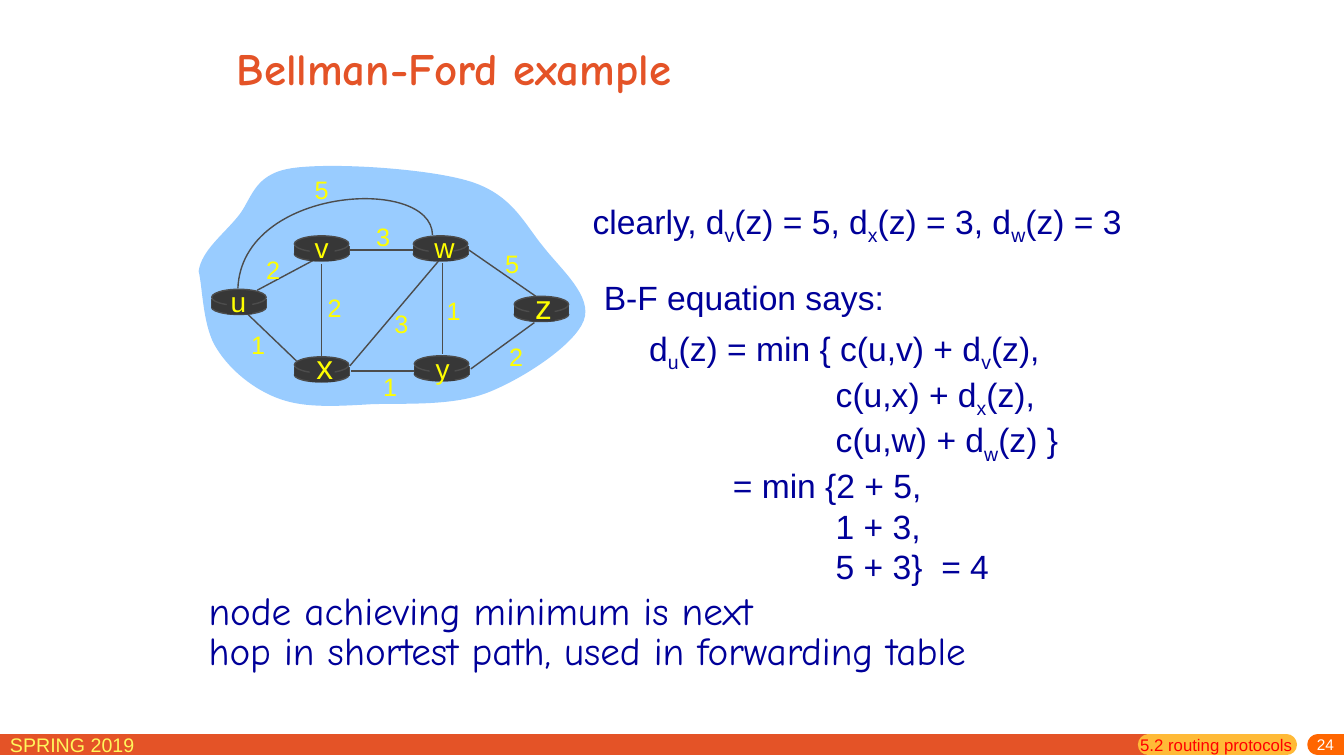
import dataclasses

import pptx
import pptx.dml.color
import pptx.enum.shapes
import pptx.enum.text
import pptx.oxml
import pptx.oxml.ns
import pptx.util

Inches = pptx.util.Inches
Pt = pptx.util.Pt
Shape = pptx.enum.shapes.MSO_SHAPE
Align = pptx.enum.text.PP_ALIGN
Anchor = pptx.enum.text.MSO_ANCHOR


@dataclasses.dataclass(frozen=True)
class Theme:
    """Colours, fonts and type sizes of the deck."""
    accent: str = "E45327"
    section: str = "FFBA37"
    page: str = "FF6600"
    term: str = "FFF65C"
    section_text: str = "FF0000"
    page_text: str = "FFFFFF"
    body: str = "000099"
    cloud: str = "99CCFF"
    router: str = "373737"
    link: str = "4C4C4C"
    label: str = "FFFF00"
    sans: str = "Arial"
    hand: str = "Comic Neue"
    title_size: int = 32
    note_size: int = 28
    body_size: int = 24
    node_size: int = 20
    weight_size: int = 18
    term_size: int = 14
    section_size: int = 12
    page_size: int = 11


THEME = Theme()
CLOUD = [
    (0, 1.08), (0.03, 0.88), (0.23, 0.73), (0.38, 0.55), (0.53, 0.38), (0.53, 0.12), (0.92, 0.06),
    (1.3, 0), (2.27, 0.06), (2.69, 0.19), (3.11, 0.32), (3.23, 0.61), (3.42, 0.84),
    (3.6, 1.07), (3.91, 1.33), (3.82, 1.57), (3.73, 1.81), (3.23, 2.14), (2.88, 2.28),
    (2.53, 2.42), (2.07, 2.39), (1.72, 2.4), (1.38, 2.42), (1.06, 2.44), (0.81, 2.35),
    (0.55, 2.26), (0.31, 2.06), (0.18, 1.85), (0.04, 1.64), (0.04, 1.24), (0, 1.08),
]
ARC = [(2.32, 0.72), (2.31, 0.13), (0.43, 0.24), (0.39, 1.25)]
LINKS = [
    ((0.58, 1.27), (1.18, 0.95)), ((1.22, 1.01), (1.22, 1.94)), ((0.97, 1.97), (0.49, 1.51)),
    ((1.5, 2.02), (2.38, 0.98)), ((2.15, 2.07), (1.51, 2.07)), ((2.42, 1), (2.42, 1.9)),
    ((2.7, 2.05), (3.33, 1.59)), ((3.36, 1.34), (2.68, 0.87)), ((1.5, 0.87), (2.14, 0.87)),
]
WEIGHTS = [
    ("2", 0.74, 1.06), ("2", 1.35, 1.44), ("1", 0.59, 1.81), ("3", 2.01, 1.6), ("1", 1.9, 2.22),
    ("1", 2.53, 1.47), ("2", 3.15, 1.93), ("5", 3.11, 1), ("3", 1.83, 0.74), ("5", 1.22, 0.27),
]
ROUTERS = [
    ("u", 0.13, 1.26, 0.39, 1.38, THEME.node_size), ("v", 0.95, 0.73, 1.22, 0.84, THEME.node_size),
    ("w", 2.13, 0.73, 2.41, 0.84, THEME.node_size), ("x", 0.95, 1.93, 1.24, 2.02, THEME.body_size),
    ("y", 2.14, 1.92, 2.42, 2.04, THEME.node_size), ("z", 3.13, 1.33, 3.41, 1.43, THEME.body_size),
]
EQUATION = [
    (0, "d|u|(z) = min { c(u,v) + d|v|(z),"), (1.85, "c(u,x) + d|x|(z),"),
    (1.85, "c(u,w) + d|w|(z) }"), (0.83, "= min {2 + 5,"), (1.85, "1 + 3,"), (1.85, "5 + 3}| |= 4"),
]


def rgb(color):
    """Return a colour object for a hex string."""
    return pptx.dml.color.RGBColor.from_string(color)


def add_text(shapes, box, lines, size, color, font=THEME.sans, bold=False, align=Align.LEFT,
             anchor=Anchor.TOP, wrap=True, spacing=None):
    """Add (indent, text) lines; parts between bars are subscripts, or a wide space."""
    shape = shapes.add_textbox(*map(Inches, box))
    frame = shape.text_frame
    frame.word_wrap = wrap
    frame.vertical_anchor = anchor
    for index, (indent, line) in enumerate(lines):
        paragraph = frame.add_paragraph() if index else frame.paragraphs[0]
        paragraph.alignment = align
        paragraph.line_spacing = spacing
        if indent:
            paragraph._p.get_or_add_pPr().set("marL", str(Inches(indent)))
        for part, text in enumerate(line.split("|")):
            run = paragraph.add_run()
            run.text = text
            run.font.size = Pt(size)
            run.font.name = font
            run.font.bold = bold
            run.font.color.rgb = rgb(color)
            if text.isspace():
                run._r.get_or_add_rPr().set("spc", "667")
            elif part % 2:
                run._r.get_or_add_rPr().set("baseline", "-25000")
    return frame


def add_line(shapes, start, end, color, width=1, cap="flat"):
    """Add a straight line without a shadow."""
    line = shapes.add_connector(pptx.enum.shapes.MSO_CONNECTOR.STRAIGHT,
                                *map(Inches, (*start, *end)))
    line.line.color.rgb = rgb(color)
    line.line.width = Pt(width)
    line.line._get_or_add_ln().set("cap", cap)
    properties = line._element.spPr
    properties.append(pptx.oxml.parse_xml(f'<a:effectLst {pptx.oxml.ns.nsdecls("a")}/>'))


def paint(shape, fill=None, line=None):
    """Set the fill and outline of a shape and remove its shadow."""
    shape.shadow.inherit = False
    if fill:
        shape.fill.solid()
        shape.fill.fore_color.rgb = rgb(fill)
    else:
        shape.fill.background()
    if line:
        shape.line.color.rgb = rgb(line)
        shape.line.width = Pt(1)
    else:
        shape.line.fill.background()


def add_curve(shapes, left, top, points, closed, fill=None, line=None):
    """Add an outline through a chain of cubic curves."""
    corners = [(Inches(left + x), Inches(top + y)) for x, y in points]
    builder = shapes.build_freeform(*corners[0])
    builder.add_line_segments(corners[1:], close=closed)
    shape = builder.convert_to_shape()
    segments = list(shape._element.iter(pptx.oxml.ns.qn("a:lnTo")))
    for first in range(0, len(points) - 1, 3):
        curve = pptx.oxml.parse_xml(f'<a:cubicBezTo {pptx.oxml.ns.nsdecls("a")}/>')
        segments[first].addprevious(curve)
        for segment in segments[first:first + 3]:
            curve.append(segment[0])
            segment.getparent().remove(segment)
    paint(shape, fill, line)


def add_label(shapes, x, y, text, size):
    """Add a label centred on a point."""
    height = size / 60 + 0.1
    add_text(shapes, (x - 0.17, y - height / 2, 0.34, height), [(0, text)], size, THEME.label,
             align=Align.CENTER, wrap=False)


def add_router(shapes, left, top):
    """Add a router drum with a plain area for its name."""
    def part(kind, x, y, width, height, line=None):
        """Add one solid part of the drum."""
        box = map(Inches, (left + x, top + y, width, height))
        paint(shapes.add_shape(kind, *box), THEME.router, line)

    part(Shape.OVAL, 0, 0.11, 0.54, 0.14, THEME.link)
    for x in (left, left + 0.54):
        add_line(shapes, (x, top + 0.1), (x, top + 0.19), THEME.link)
    part(Shape.RECTANGLE, 0, 0.1, 0.54, 0.09)
    part(Shape.OVAL, 0, 0, 0.54, 0.16, THEME.link)
    part(Shape.RECTANGLE, 0.15, 0.02, 0.25, 0.23)


def add_network(slide, left, top):
    """Draw the weighted network on its cloud."""
    shapes = slide.shapes.add_group_shape().shapes
    add_curve(shapes, left, top, CLOUD, True, fill=THEME.cloud)
    add_curve(shapes, left, top, ARC, False, line=THEME.link)
    for (x1, y1), (x2, y2) in LINKS:
        add_line(shapes, (left + x1, top + y1), (left + x2, top + y2), THEME.link)
    for name, x, y, name_x, name_y, size in ROUTERS:
        add_router(shapes, left + x, top + y)
        add_label(shapes, left + name_x, top + name_y, name, size)
    for weight, x, y in WEIGHTS:
        add_label(shapes, left + x, top + y, weight, THEME.weight_size)


def add_derivation(slide, left, top):
    """Write the known distances and the equation."""
    regions = [
        (0, 0, 5.52, 0.5, [(0, "clearly, d|v|(z) = 5, d|x|(z) = 3, d|w|(z) = 3")]),
        (0.56, 1.26, 4.31, 2.52, EQUATION),
        (0.11, 0.76, 2.98, 0.5, [(0, "B-F equation says:")]),
    ]
    for x, y, width, height, lines in regions:
        add_text(slide.shapes, (left + x, top + y, width, height), lines,
                 THEME.body_size, THEME.body)


def add_footer(slide, top, width):
    """Draw the footer band with term, section and page number."""
    shapes = slide.shapes
    middle = top + 0.17
    for start, end, color, cap in ((-0.18, 11.39, THEME.accent, "flat"),
                                   (11.39, 12.76, THEME.section, "rnd"),
                                   (13.07, 13.6, THEME.page, "rnd")):
        add_line(shapes, (start, middle), (end, middle), color, 15, cap)
    add_text(shapes, (0, top, 2.29, 0.31), [(0, "SPRING 2019")], THEME.term_size, THEME.term)
    add_text(shapes, (11.21, top + 0.02, 1.84, 0.31), [(0, "5.2 routing protocols")],
             THEME.section_size, THEME.section_text)
    frame = add_text(shapes, (width - 2.58, top + 0.1, 2.58, 0.18), [(0, "24")], THEME.page_size,
                     THEME.page_text, align=Align.RIGHT, anchor=Anchor.MIDDLE)
    frame.margin_top = 0


def main():
    """Build and save the slide."""
    presentation = pptx.Presentation()
    presentation.slide_width = Inches(13.33)
    presentation.slide_height = Inches(7.5)
    slide = presentation.slides.add_slide(presentation.slide_layouts[6])
    add_footer(slide, 7.22, 13.33)
    add_text(slide.shapes, (2.25, 0.19, 8.5, 0.96), [(0, "Bellman-Ford example")],
             THEME.title_size, THEME.accent, THEME.hand, bold=True, anchor=Anchor.MIDDLE)
    add_network(slide, 1.97, 1.61)
    add_derivation(slide, 5.78, 1.94)
    add_text(slide.shapes, (1.97, 5.84, 8.62, 0.9),
             [(0, "node achieving minimum is next"),
              (0, "hop in shortest path, used in forwarding table")],
             THEME.note_size, THEME.body, THEME.hand, spacing=0.85)
    presentation.save("out.pptx")


if __name__ == "__main__":
    main()
